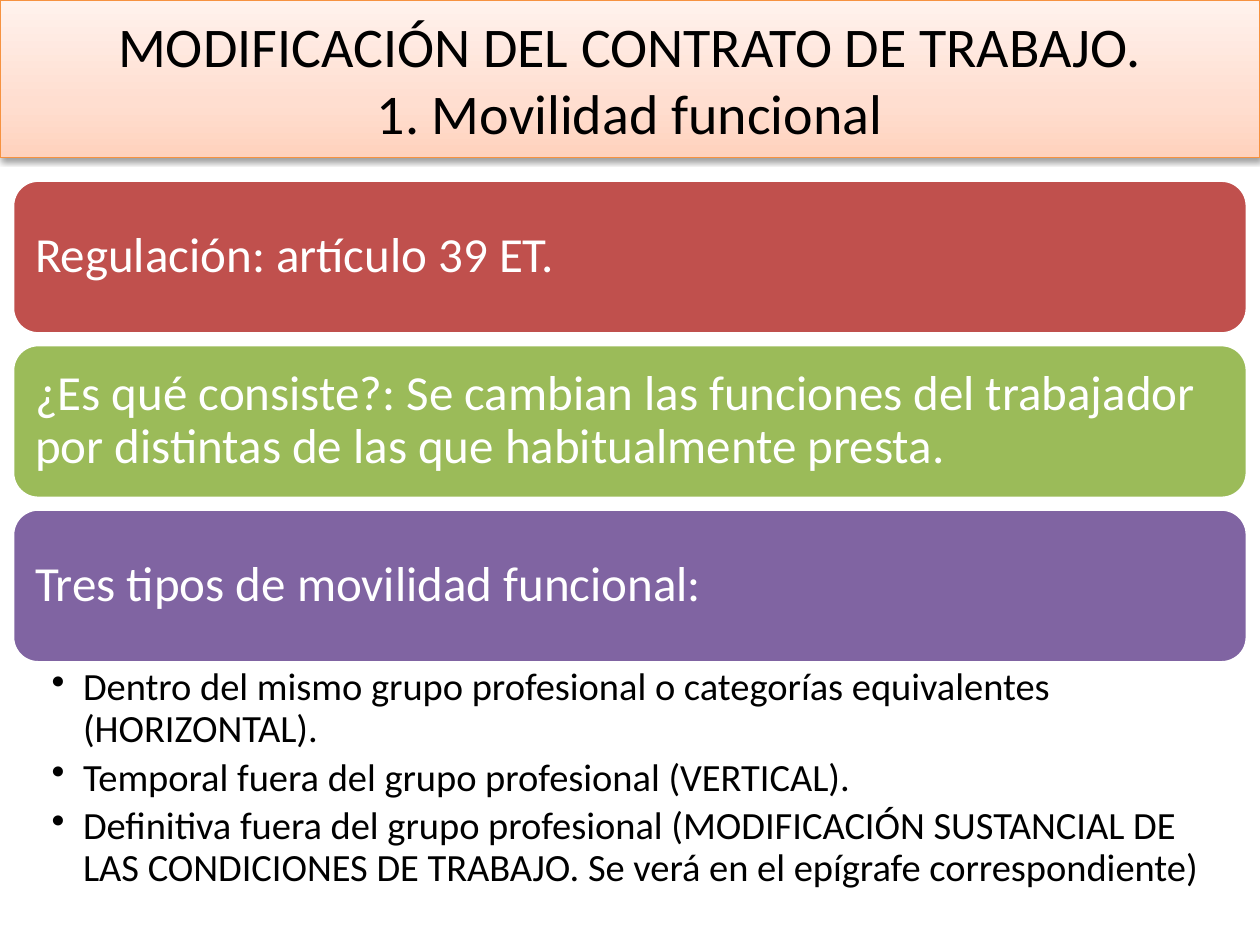
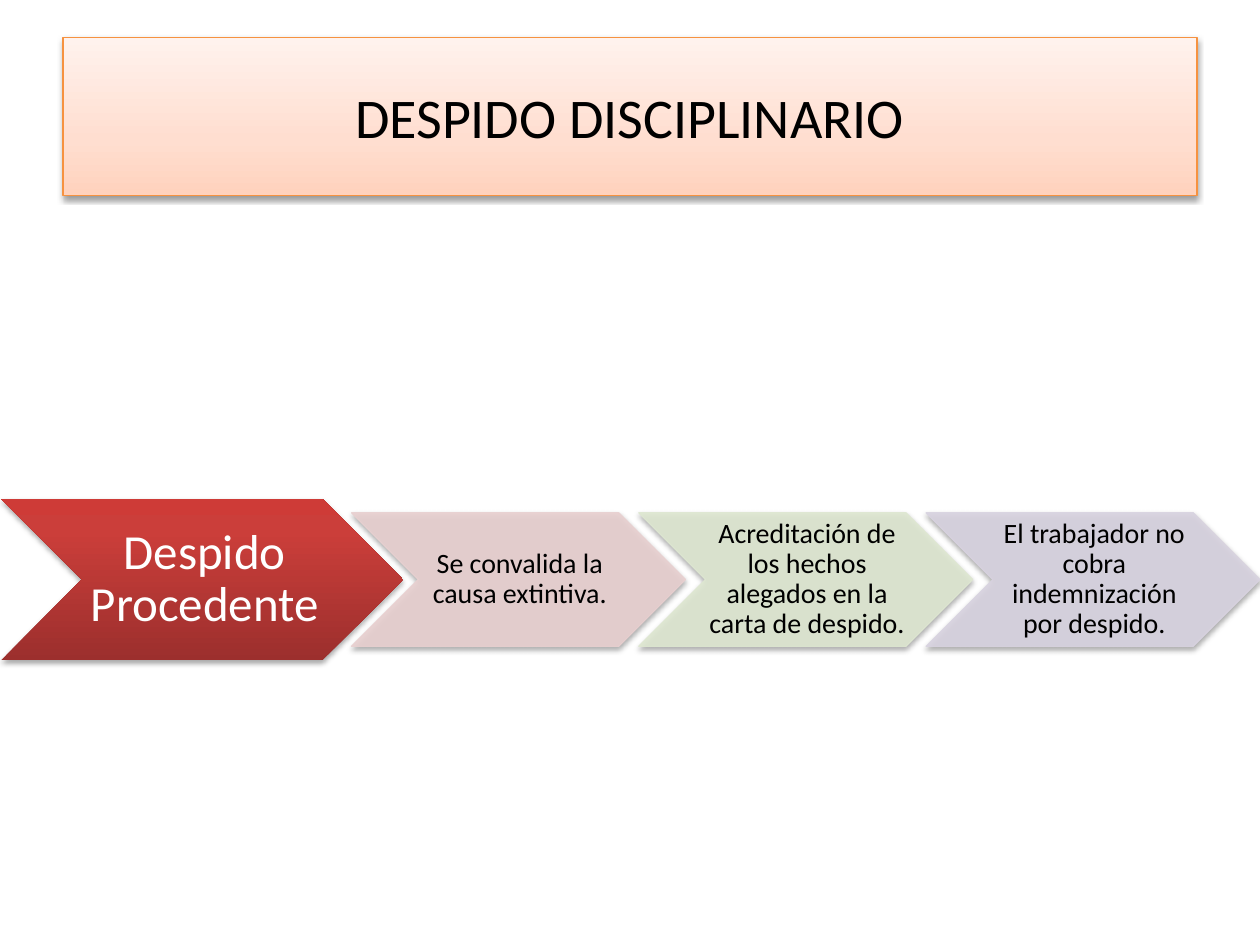
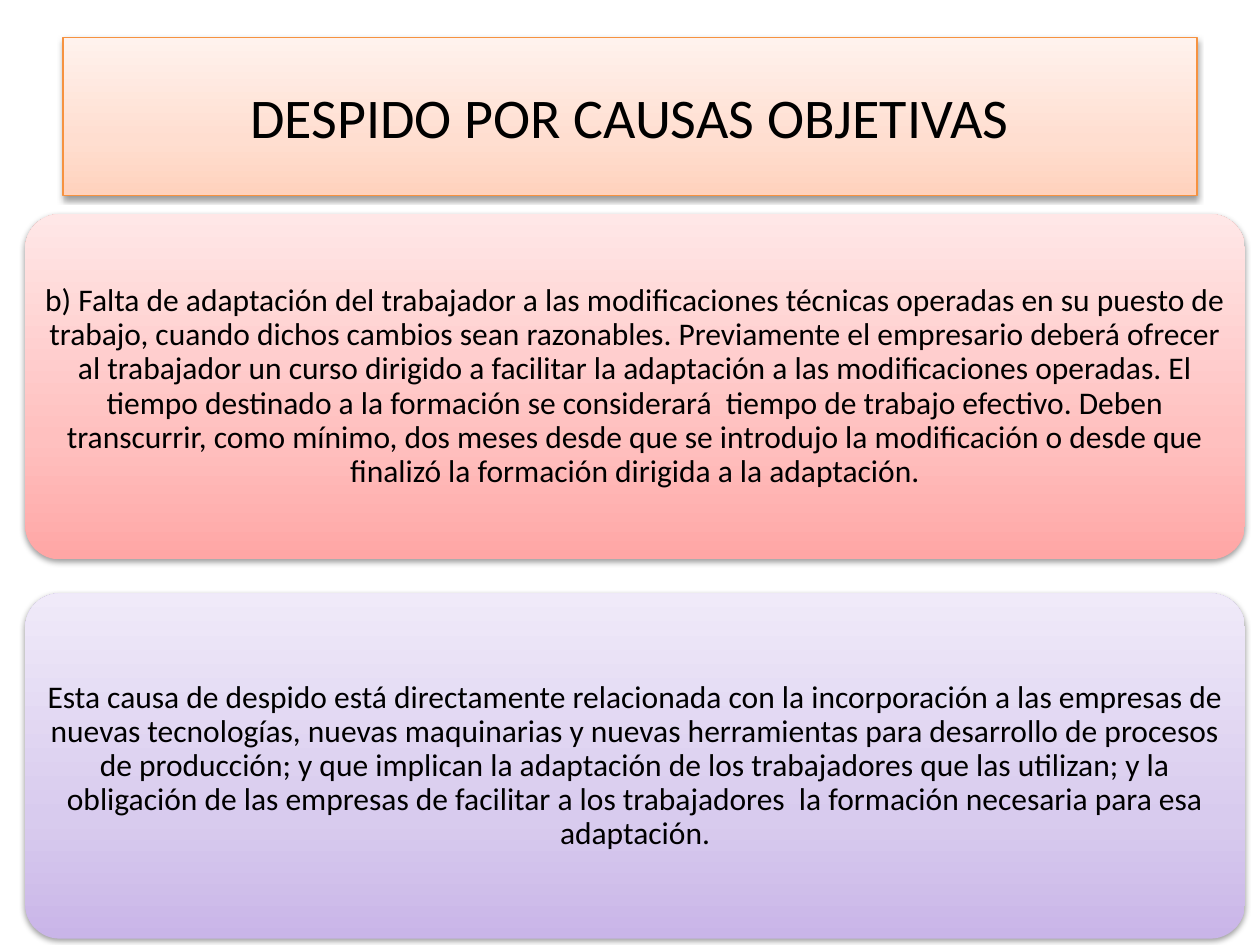
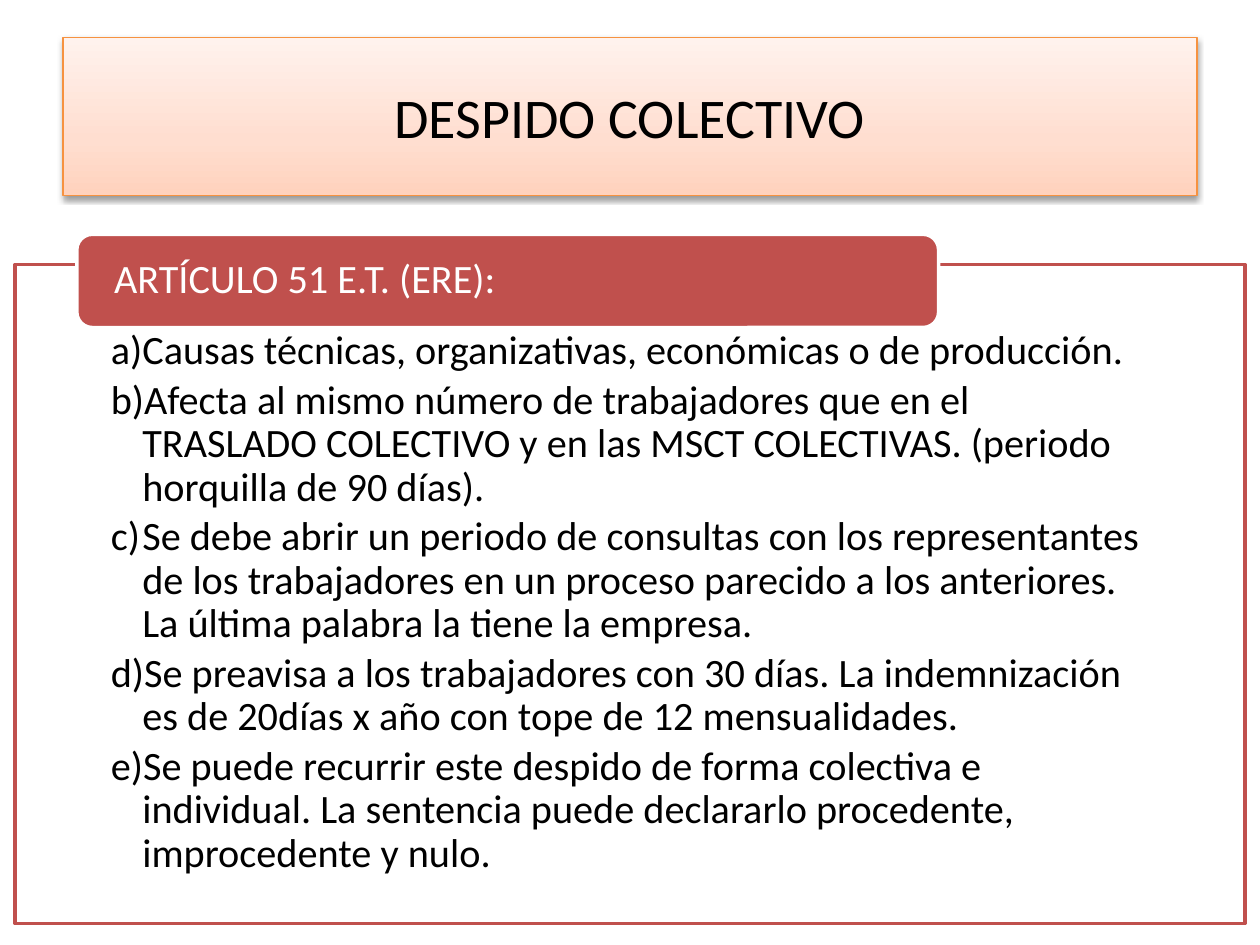
from pptx import Presentation
from pptx.dml.color import RGBColor
from pptx.enum.shapes import MSO_SHAPE as SHAPE
from pptx.enum.text import MSO_ANCHOR as ANCHOR, PP_ALIGN as ALIGN
from pptx.oxml import parse_xml
from pptx.oxml.ns import nsdecls, qn
from pptx.util import Inches, Pt

FONT = "Calibri"
C = {
    "black": "000000", "white": "FFFFFF", "orange": "F69240",
    "red": "C0504D", "green": "9BBB59", "purple": "8064A2",
    "pale_red": "E8D0D0", "pale_green": "DEE7D1", "pale_purple": "D8D3E0",
}
# Gradient stops run from the bottom edge to the top edge.
GRADIENTS = {
    "title": [(0, "FFD2BD"), (35, "FFDED0"), (100, "FFF2ED")],
    "dark_red": [(0, "9C2F2D"), (80, "CB3E3A"), (100, "CE3B37")],
    "rose": [(0, "FFA6A5"), (35, "FFC0BF"), (100, "FFE7E7")],
    "lilac": [(0, "C9B5E8"), (35, "D8CBEE"), (100, "F0EAF9")],
}
SOFT_SHADOW = (38, 1.6)  # opacity %, distance pt
CHEVRON_SHADOW = (35, 1.8)
DOT = '<a:buChar {} char="•"/>'
LETTER = '<a:buAutoNum {} type="alphaLcParenR"/>'


def rgb(name):
    return RGBColor.from_string(C[name])


def set_gradient(sp, stops):
    sp.fill.gradient()
    sp.fill.gradient_angle = 90
    gs_lst = sp.element.spPr.find(qn("a:gradFill")).find(qn("a:gsLst"))
    gs_lst.clear()
    for pos, color in stops:
        gs_lst.append(parse_xml(
            f'<a:gs {nsdecls("a")} pos="{pos * 1000}"><a:srgbClr val="{color}"/></a:gs>'))


def set_shadow(sp, opacity, dist):
    sp.element.spPr.find(qn("a:effectLst")).append(parse_xml(
        f'<a:outerShdw {nsdecls("a")} blurRad="{Pt(3.15)}" dist="{Pt(dist)}" '
        f'dir="5400000" rotWithShape="0"><a:srgbClr val="{C["black"]}">'
        f'<a:alpha val="{opacity * 1000}"/></a:srgbClr></a:outerShdw>'))


def style(sp, fill, line=None, width=0.75, alpha=None, shadow=None):
    """Fill, outline and shadow; alpha applies to every use of the fill colour."""
    if fill in GRADIENTS:
        set_gradient(sp, GRADIENTS[fill])
    else:
        sp.fill.solid()
        sp.fill.fore_color.rgb = rgb(fill)
    if line:
        sp.line.color.rgb = rgb(line)
        sp.line.width = Pt(width)
    else:
        sp.line.fill.background()
    if alpha:
        for color in sp.element.spPr.iter(qn("a:srgbClr")):
            if color.get("val") == C[fill]:
                color.append(parse_xml(f'<a:alpha {nsdecls("a")} val="{alpha * 1000}"/>'))
    sp.shadow.inherit = False
    if shadow:
        set_shadow(sp, *shadow)


def write(sp, paragraphs, size, color="black", align=ALIGN.LEFT, anchor=ANCHOR.MIDDLE,
          insets=(0.1, 0.05, 0.1, 0.05), spacing=0.9, after=0, bullet=None):
    tf = sp.text_frame
    tf.word_wrap = True
    tf.vertical_anchor = anchor
    tf.margin_left, tf.margin_top, tf.margin_right, tf.margin_bottom = map(Inches, insets)
    for i, text in enumerate(paragraphs):
        p = tf.add_paragraph() if i else tf.paragraphs[0]
        p.alignment = align
        p.line_spacing = spacing
        p.space_before = Pt(0)
        p.space_after = Pt(after)
        if bullet:
            p.level = 1
            pPr = p._p.get_or_add_pPr()
            pPr.set("marL", str(Inches(0.25)))
            pPr.set("indent", str(-Inches(0.25)))
            pPr.append(parse_xml(bullet.format(nsdecls("a"))))
        for n, part in enumerate(text.split("\n")):
            if n:
                p.add_line_break()
            r = p.add_run()
            r.text = part
            r.font.name = FONT
            r.font.size = Pt(size)
            r.font.color.rgb = rgb(color)


def add_box(s, kind, at, fill, **look):
    sp = s.shapes.add_shape(kind, *map(Inches, at))
    style(sp, fill, **look)
    return sp


def add_titled_slide(prs, title, at=(0.5, 0.3, 9, 1.25)):
    s = prs.slides.add_slide(prs.slide_layouts[5])
    sp = s.shapes.title
    sp.left, sp.top, sp.width, sp.height = map(Inches, at)
    style(sp, "title", line="orange", shadow=SOFT_SHADOW)
    write(sp, [title], 32, align=ALIGN.CENTER, spacing=1.0)
    return s


def add_chevron(s, at, text, fill, size, color="black", insets=(0.02, 0.01, 0, 0.01), **look):
    sp = add_box(s, SHAPE.CHEVRON, at, fill, shadow=CHEVRON_SHADOW, **look)
    write(sp, [text], size, color, ALIGN.CENTER, insets=insets)


def functional_mobility(prs):
    s = add_titled_slide(
        prs, "MODIFICACIÓN DEL CONTRATO DE TRABAJO.\n1. Movilidad funcional",
        at=(0, 0, 10, 1.25))
    bars = [
        ("red", "Regulación: artículo 39 ET."),
        ("green", "¿Es qué consiste?: Se cambian las funciones del trabajador por "
                  "distintas de las que habitualmente presta."),
        ("purple", "Tres tipos de movilidad funcional:"),
    ]
    for i, (fill, text) in enumerate(bars):
        sp = add_box(s, SHAPE.ROUNDED_RECTANGLE, (0.1, 1.43 + 1.305 * i, 9.8, 1.22),
                     fill, line="white", width=2)
        write(sp, [text], 28, "white", insets=(0.12,) * 4)
    types = s.shapes.add_textbox(*map(Inches, (0.1, 5.26, 9.8, 1.93)))
    write(types, [
        "Dentro del mismo grupo profesional o categorías equivalentes (HORIZONTAL).",
        "Temporal fuera del grupo profesional (VERTICAL).",
        "Definitiva fuera del grupo profesional (MODIFICACIÓN SUSTANCIAL DE LAS "
        "CONDICIONES DE TRABAJO. Se verá en el epígrafe correspondiente)",
    ], 22, anchor=ANCHOR.TOP, insets=(0.31, 0.04, 0.22, 0.04), after=4, bullet=DOT)


def disciplinary_dismissal(prs):
    s = add_titled_slide(prs, "DESPIDO DISCIPLINARIO")
    add_chevron(s, (0.01, 3.96, 3.19, 1.28), "Despido Procedente", "dark_red", 28,
                "white", insets=(0.04, 0.02, 0, 0.02))
    effects = [
        ("pale_red", "Se convalida la causa extintiva."),
        ("pale_green", "Acreditación de los hechos alegados en la carta de despido."),
        ("pale_purple", "El trabajador no cobra indemnización por despido."),
    ]
    for i, (fill, text) in enumerate(effects):
        add_chevron(s, (2.79 + 2.28 * i, 4.07, 2.65, 1.06), text, fill, 16,
                    line=fill, alpha=90)


def objective_dismissal(prs):
    s = add_titled_slide(prs, "DESPIDO POR CAUSAS OBJETIVAS")
    panels = [
        ("rose",
         "b) Falta de adaptación del trabajador a las modificaciones técnicas operadas en "
         "su puesto de trabajo, cuando dichos cambios sean razonables. Previamente el "
         "empresario deberá ofrecer al trabajador un curso dirigido a facilitar la "
         "adaptación a las modificaciones operadas. El tiempo destinado a la formación se "
         "considerará  tiempo de trabajo efectivo. Deben transcurrir, como mínimo, dos "
         "meses desde que se introdujo la modificación o desde que finalizó la formación "
         "dirigida a la adaptación."),
        ("lilac",
         "Esta causa de despido está directamente relacionada con la incorporación a las "
         "empresas de nuevas tecnologías, nuevas maquinarias y nuevas herramientas para "
         "desarrollo de procesos de producción; y que implican la adaptación de los "
         "trabajadores que las utilizan; y la obligación de las empresas de facilitar a "
         "los trabajadores  la formación necesaria para esa adaptación."),
    ]
    for i, (fill, text) in enumerate(panels):
        sp = add_box(s, SHAPE.ROUNDED_RECTANGLE, (0.2, 1.7 + 3.01 * i, 9.68, 2.74),
                     fill, shadow=SOFT_SHADOW)
        sp.adjustments[0] = 0.1
        write(sp, [text], 18, align=ALIGN.CENTER, insets=(0.07,) * 4)


def collective_dismissal(prs):
    s = add_titled_slide(prs, "DESPIDO COLECTIVO")
    frame = add_box(s, SHAPE.RECTANGLE, (0.12, 2.1, 9.76, 5.23), "white",
                    line="red", width=2, alpha=90)
    write(frame, [
        "Causas técnicas, organizativas, económicas o de producción.",
        "Afecta al mismo número de trabajadores que en el TRASLADO COLECTIVO y en las "
        "MSCT COLECTIVAS. (periodo horquilla de 90 días).",
        "Se debe abrir un periodo de consultas con los representantes de los trabajadores "
        "en un proceso parecido a los anteriores. La última palabra la tiene la empresa.",
        "Se preavisa a los trabajadores con 30 días. La indemnización es de 20días x año "
        "con tope de 12 mensualidades.",
        "Se puede recurrir este despido de forma colectiva e individual. La sentencia "
        "puede declararlo procedente, improcedente y nulo.",
    ], 23, anchor=ANCHOR.TOP, insets=(0.76, 0.52, 0.76, 0.18), after=3.5, bullet=LETTER)
    label = add_box(s, SHAPE.ROUNDED_RECTANGLE, (0.61, 1.86, 6.84, 0.74), "red",
                    line="white", width=2)
    write(label, ["ARTÍCULO 51 E.T. (ERE):"], 23, "white", insets=(0.26, 0, 0.26, 0))


def main():
    prs = Presentation()
    prs.slide_width, prs.slide_height = Inches(10), Inches(7.5)
    functional_mobility(prs)
    disciplinary_dismissal(prs)
    objective_dismissal(prs)
    collective_dismissal(prs)
    prs.save("out.pptx")


if __name__ == "__main__":
    main()
